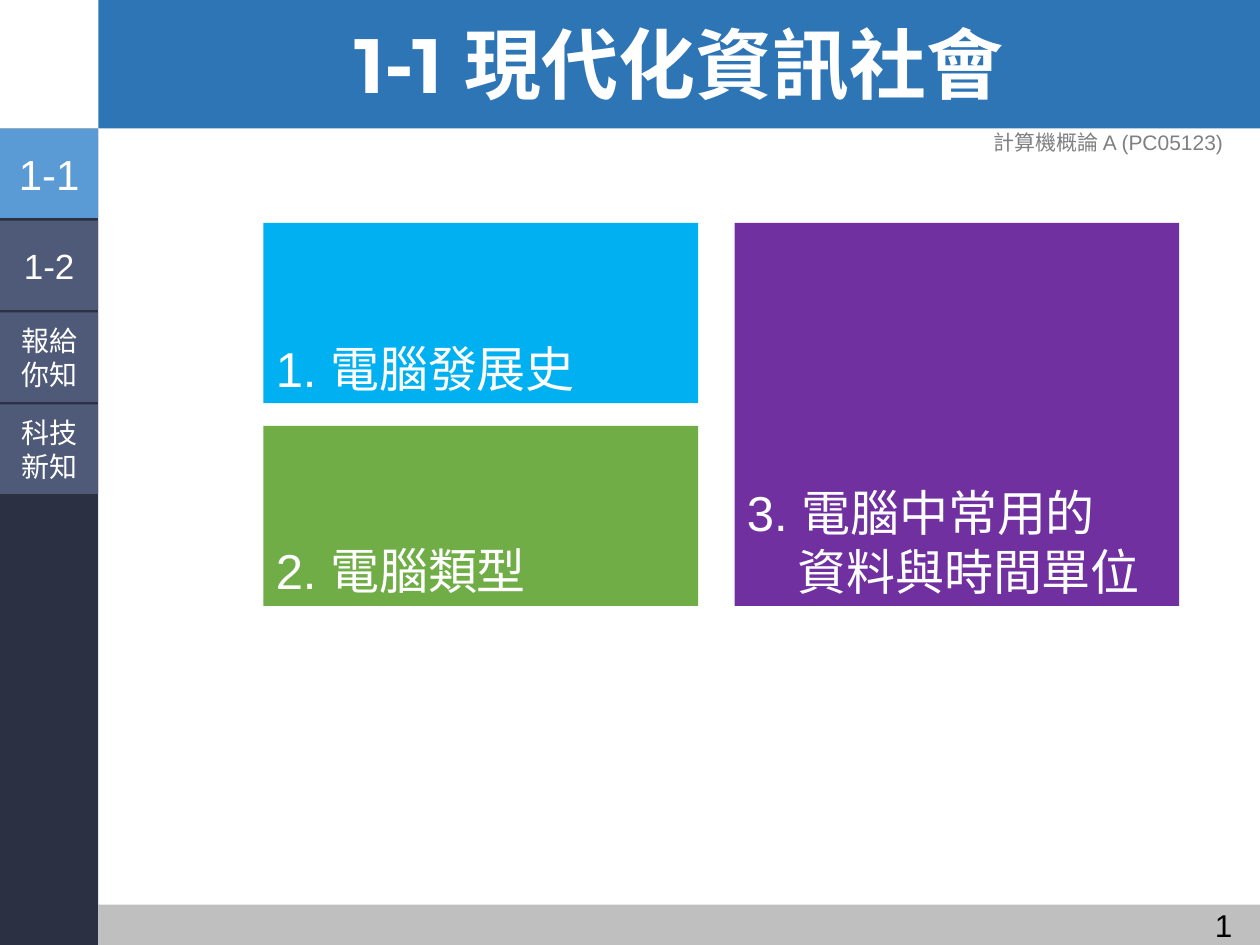
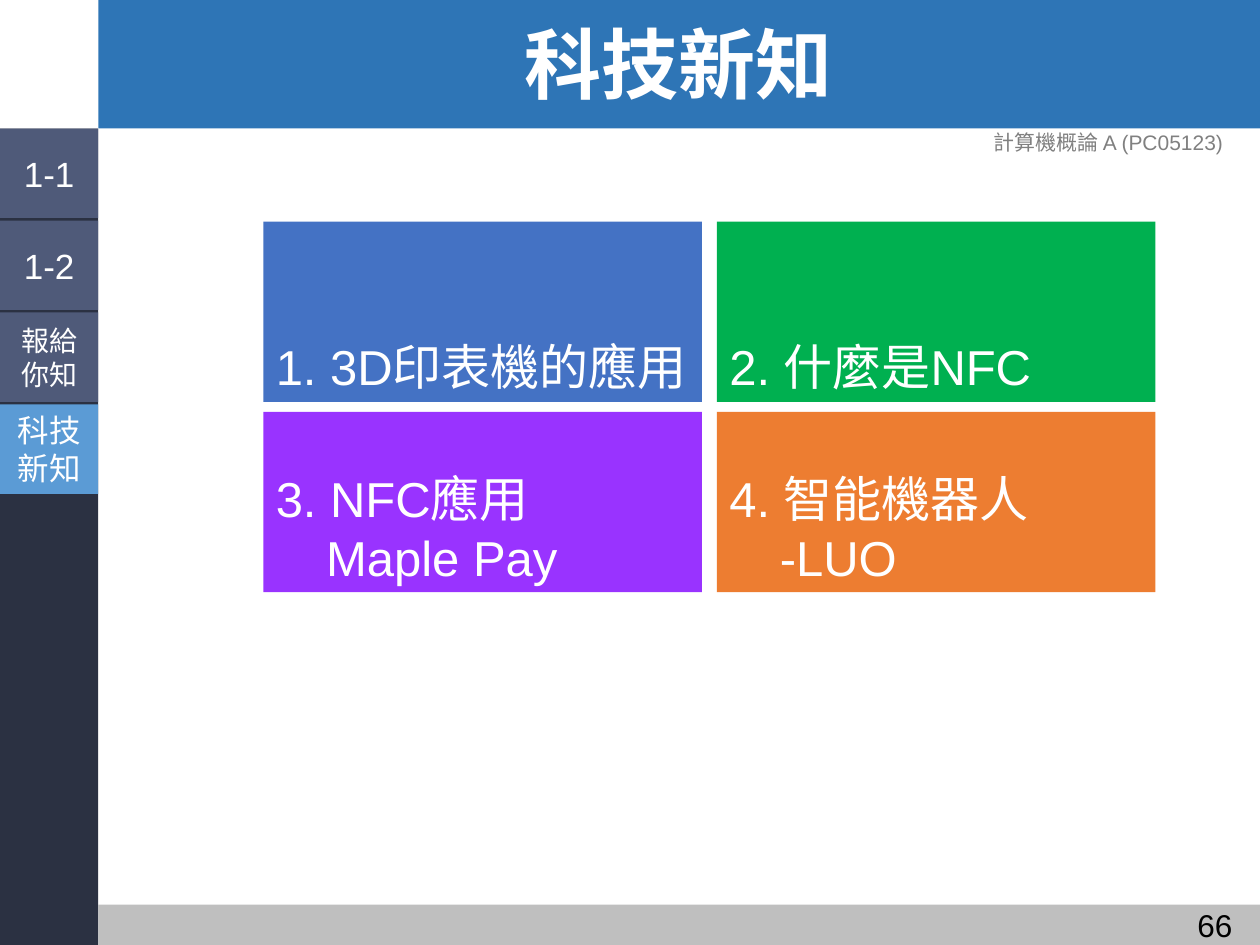
from pptx import Presentation
from pptx.dml.color import RGBColor
from pptx.enum import shapes, text
from pptx.util import Inches, Pt

BLUE, GREY, NAVY = "2E75B6", "BFBFBF", "2B3142"
TAB, ACTIVE_TAB = "4F5A79", "5B9BD5"
WHITE, BLACK, COURSE_GREY = "FFFFFF", "000000", "808080"
BODY_FONT, TITLE_FONT = "Arial", "Montserrat"

SIDEBAR_WIDTH, HEADER_HEIGHT, FOOTER_TOP = 0.78, 1.02, 7.18
TAB_HEIGHT, TAB_PITCH = 0.71, 0.73
COURSE = "計算機概論 A (PC05123)"
# lines of the tab, size when idle, size when active
SECTIONS = [
    (["1-1"], 20, 24),
    (["1-2"], 20, 24),
    (["報給", "你知"], 16, 18),
    (["科技", "新知"], 16, 18),
]
LEFT, CENTER, RIGHT = text.PP_ALIGN.LEFT, text.PP_ALIGN.CENTER, text.PP_ALIGN.RIGHT
TOP, MIDDLE, BOTTOM = text.MSO_ANCHOR.TOP, text.MSO_ANCHOR.MIDDLE, text.MSO_ANCHOR.BOTTOM


def color(hex_code):
    return RGBColor.from_string(hex_code)


def add_rect(slide, box, fill):
    rect = slide.shapes.add_shape(shapes.MSO_SHAPE.RECTANGLE, *map(Inches, box))
    rect.shadow.inherit = False
    rect.fill.solid()
    rect.fill.fore_color.rgb = color(fill)
    rect.line.fill.background()
    return rect


def write(shape, paragraphs, size, ink=WHITE, align=CENTER, anchor=MIDDLE,
          font=BODY_FONT, bold=False, wrap=True):
    """Fill a shape with paragraphs; a newline inside one is a line break."""
    frame = shape.text_frame
    frame.word_wrap = wrap
    frame.vertical_anchor = anchor
    for index, content in enumerate(paragraphs):
        paragraph = frame.add_paragraph() if index else frame.paragraphs[0]
        paragraph.alignment = align
        for row, line in enumerate(content.split("\n")):
            if row:
                paragraph.add_line_break()
            run = paragraph.add_run()
            run.text = line
            run.font.size = Pt(size)
            run.font.name = font
            run.font.bold = bold
            run.font.color.rgb = color(ink)
    return frame


def add_label(slide, box, content, size, **style):
    label = slide.shapes.add_textbox(*map(Inches, box))
    return write(label, [content], size, **style)


def add_tab(slide, index, active):
    lines, idle_size, active_size = SECTIONS[index]
    box = (0, HEADER_HEIGHT + index * TAB_PITCH, SIDEBAR_WIDTH, TAB_HEIGHT)
    tab = add_rect(slide, box, ACTIVE_TAB if active else TAB)
    frame = write(tab, lines, active_size if active else idle_size, wrap=False)
    frame.margin_left = frame.margin_right = Inches(0.04)
    frame.margin_top = frame.margin_bottom = Inches(0.04)


def add_tile(slide, box, fill, topic, hanging=False):
    tile = add_rect(slide, box, fill)
    frame = write(tile, [topic], 28, align=LEFT, anchor=BOTTOM)
    if hanging:
        properties = frame.paragraphs[0]._p.get_or_add_pPr()
        properties.set("marL", str(Inches(0.4)))
        properties.set("indent", str(Inches(-0.4)))


def add_section_slide(deck, title, number, active_section):
    """Add a slide with the bands, title, course name, page number and tabs."""
    slide = deck.slides.add_slide(deck.slide_layouts[6])
    width = 10 - SIDEBAR_WIDTH
    add_rect(slide, (SIDEBAR_WIDTH, 0, width, HEADER_HEIGHT), BLUE)
    add_rect(slide, (SIDEBAR_WIDTH, FOOTER_TOP, width, 7.5 - FOOTER_TOP), GREY)
    add_rect(slide, (0, HEADER_HEIGHT, SIDEBAR_WIDTH, 7.5 - HEADER_HEIGHT), NAVY)
    heading = add_label(slide, (SIDEBAR_WIDTH, 0.03, width, 1.02), title, 44,
                        font=TITLE_FONT, bold=True)
    heading.paragraphs[0].line_spacing = 0.9
    add_label(slide, (8.82, 7.14, 1.06, 0.4), str(number), 18,
              ink=BLACK, align=RIGHT, anchor=TOP)
    add_label(slide, (7.59, 0.93, 2.41, 0.4), COURSE, 12, ink=COURSE_GREY)
    for index in range(len(SECTIONS)):
        add_tab(slide, index, index == active_section)
    return slide


def add_modern_society(deck):
    slide = add_section_slide(deck, "1-1 現代化資訊社會", 1, 0)
    add_tile(slide, (2.09, 1.77, 3.45, 1.43), "00B0F0", "1. 電腦發展史")
    add_tile(slide, (2.09, 3.38, 3.45, 1.43), "70AD47", "2. 電腦類型")
    add_tile(slide, (5.83, 1.77, 3.53, 3.04), "7030A0",
             "3. 電腦中常用的\n資料與時間單位", hanging=True)


def add_new_technology(deck):
    slide = add_section_slide(deck, "科技新知", 66, 3)
    topics = [
        ("4472C4", "1. 3D印表機的應用", False),
        ("00B050", "2. 什麼是NFC", False),
        ("9933FF", "3. NFC應用\nMaple Pay", True),
        ("ED7D31", "4. 智能機器人 -LUO", True),
    ]
    for index, (fill, topic, hanging) in enumerate(topics):
        row, column = divmod(index, 2)
        box = (2.09 + column * 3.6, 1.76 + row * 1.51, 3.48, 1.43)
        add_tile(slide, box, fill, topic, hanging)


def main():
    deck = Presentation()
    deck.slide_width, deck.slide_height = Inches(10), Inches(7.5)
    add_modern_society(deck)
    add_new_technology(deck)
    deck.save("out.pptx")


if __name__ == "__main__":
    main()
